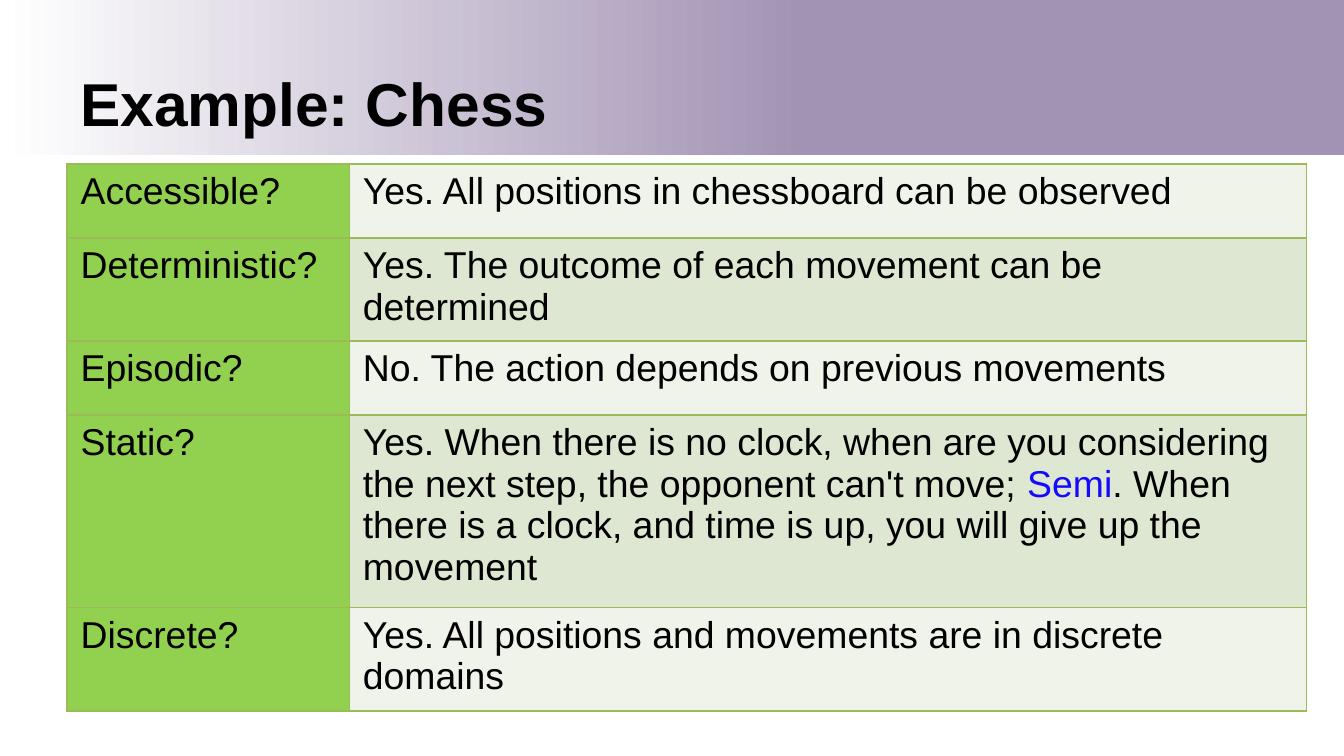
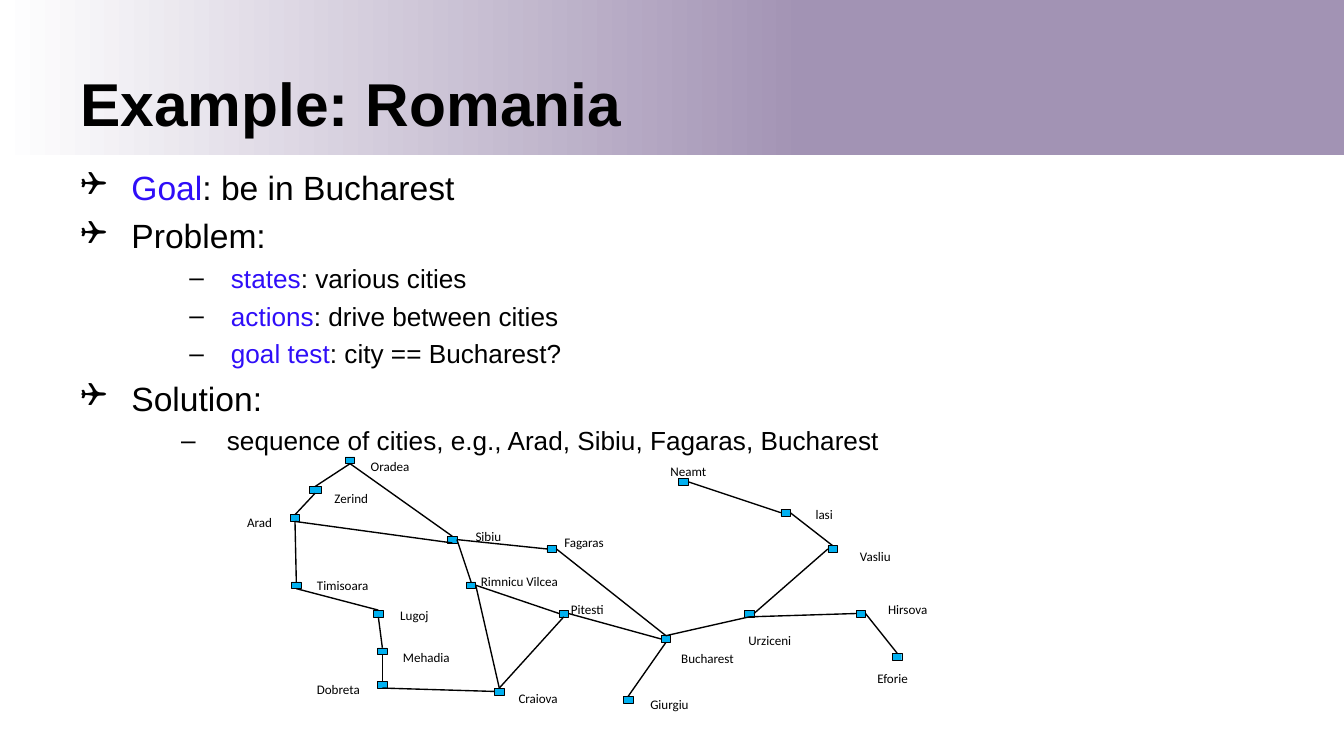
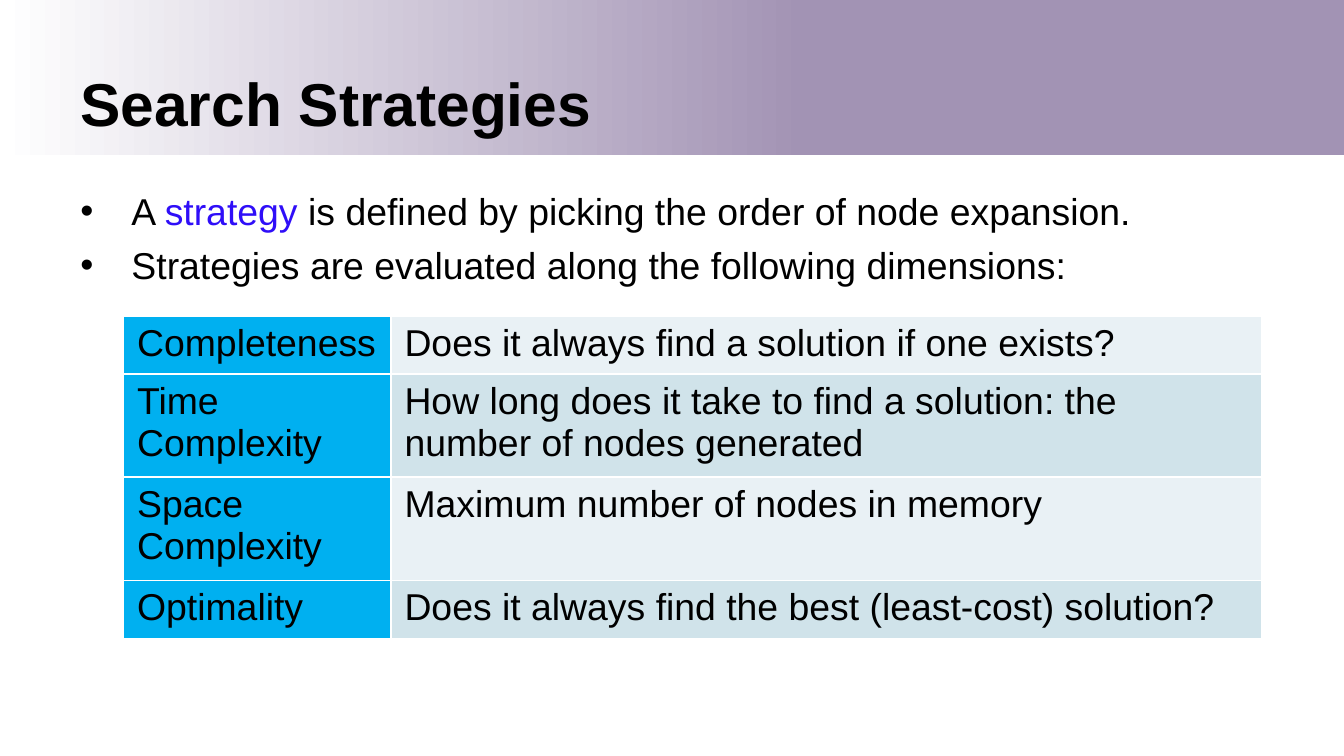
"""Build three lecture slides on agents and search."""
from typing import NamedTuple

from lxml import etree
from pptx import Presentation, util as u
from pptx.dml.color import RGBColor
from pptx.enum import shapes, text
from pptx.oxml.ns import qn

BLACK, WHITE = "000000", "FFFFFF"
MAUVE, INDIGO, BLUE = "A293B4", "2F0EF8", "160AFC"
GREEN, OLIVE, CYAN = "92D050", "9BBB59", "00B0F0"
TOP, LEFT, BOTTOM, RIGHT = range(4)


class Bullet(NamedTuple):
    """A list line; text between bars is accented."""
    text: str
    mark: str
    size: float
    margin: float = 0.38
    hang: float = 0.38


class City(NamedTuple):
    """A map marker with its label place."""
    name: str
    x: float
    y: float
    label_x: float
    label_y: float
    label_w: float
    width: float = 0.07


class Road(NamedTuple):
    """A straight link between sides of two cities."""
    start: str
    start_side: int
    end: str
    end_side: int


class Grid(NamedTuple):
    """A two-column table of terms and answers."""
    left: float
    top: float
    widths: tuple[float, float]
    height: float
    row_height: float
    head: str
    bands: tuple[str, str]
    border: str
    rows: list[tuple[str, str]]


CHESS = Grid(0.5, 1.22, (2.1, 7.12), 4.06, 0.55, GREEN, ("EFF3EA", "DEE7D1"), OLIVE, [
    ("Accessible?", "Yes. All positions in chessboard can be observed"),
    ("Deterministic?", "Yes. The outcome of each movement can be determined"),
    ("Episodic?", "No. The action depends on previous movements"),
    ("Static?", "Yes. When there is no clock, when are you considering the next step, "
                "the opponent can't move; |Semi|. When there is a clock, and time is up, "
                "you will give up the movement"),
    ("Discrete?", "Yes. All positions and movements are in discrete domains"),
])

DIMENSIONS = Grid(0.92, 2.35, (1.99, 6.48), 2.4, 0.41, CYAN, ("E9F1F5", "D0E3EA"), WHITE, [
    ("Completeness", "Does it always find a solution if one exists?"),
    ("Time Complexity", "How long does it take to find a solution: the number of nodes generated"),
    ("Space Complexity", "Maximum number of nodes in memory"),
    ("Optimality", "Does it always find the best (least-cost) solution?"),
])

ROMANIA = [
    Bullet("|Goal|: be in Bucharest", "❑", 18),
    Bullet("Problem:", "❑", 18),
    Bullet("|states|: various cities", "–", 14, 1.12, 0.31),
    Bullet("|actions|: drive between cities", "–", 14, 1.12, 0.31),
    Bullet("|goal test|: city == Bucharest?", "–", 14, 1.12, 0.31),
    Bullet("Solution:", "❑", 18),
    Bullet("sequence of cities, e.g., Arad, Sibiu, Fagaras, Bucharest", "–", 14, 1.09, 0.34),
]

STRATEGIES = [
    Bullet("A |strategy| is defined by picking the order of node expansion.", "•", 20),
    Bullet("Strategies are evaluated along the following dimensions:", "•", 20),
]

CITIES = [
    City("Oradea", 2.57, 3.4, 2.66, 3.36, 0.55),
    City("Zerind", 2.3, 3.62, 2.39, 3.6, 0.48, 0.09),
    City("Arad", 2.16, 3.83, 1.74, 3.78, 0.41),
    City("Timisoara", 2.17, 4.33, 2.26, 4.25, 0.71),
    City("Lugoj", 2.78, 4.54, 2.88, 4.47, 0.47),
    City("Mehadia", 2.81, 4.82, 2.9, 4.78, 0.61),
    City("Dobreta", 2.81, 5.07, 2.26, 5.02, 0.57),
    City("Sibiu", 3.33, 3.99, 3.44, 3.88, 0.67),
    City("Fagaras", 4.07, 4.06, 4.1, 3.93, 0.61),
    City("Rimnicu Vilcea", 3.47, 4.33, 3.48, 4.22, 0.96),
    City("Pitesti", 4.16, 4.54, 4.15, 4.43, 0.51),
    City("Craiova", 3.68, 5.12, 3.76, 5.09, 0.62),
    City("Giurgiu", 4.64, 5.18, 4.74, 5.13, 0.62),
    City("Bucharest", 4.92, 4.73, 4.97, 4.79, 0.69),
    City("Neamt", 5.05, 3.56, 4.89, 3.4, 0.58),
    City("lasi", 5.81, 3.79, 5.97, 3.72, 0.47),
    City("Vasliu", 6.16, 4.06, 6.3, 4.03, 0.48),
    City("Urziceni", 5.54, 4.54, 5.47, 4.66, 0.84),
    City("Hirsova", 6.37, 4.54, 6.51, 4.43, 0.69),
    City("Eforie", 6.64, 4.86, 6.43, 4.94, 1.03),
]

ROADS = [
    Road("Oradea", BOTTOM, "Zerind", TOP),
    Road("Zerind", BOTTOM, "Arad", TOP),
    Road("Arad", BOTTOM, "Timisoara", TOP),
    Road("Timisoara", BOTTOM, "Lugoj", TOP),
    Road("Lugoj", BOTTOM, "Mehadia", TOP),
    Road("Mehadia", BOTTOM, "Dobreta", TOP),
    Road("Arad", BOTTOM, "Sibiu", BOTTOM),
    Road("Oradea", BOTTOM, "Sibiu", TOP),
    Road("Dobreta", BOTTOM, "Craiova", LEFT),
    Road("Sibiu", RIGHT, "Rimnicu Vilcea", TOP),
    Road("Rimnicu Vilcea", RIGHT, "Craiova", TOP),
    Road("Sibiu", RIGHT, "Fagaras", LEFT),
    Road("Rimnicu Vilcea", RIGHT, "Pitesti", LEFT),
    Road("Pitesti", BOTTOM, "Craiova", TOP),
    Road("Pitesti", RIGHT, "Bucharest", LEFT),
    Road("Fagaras", RIGHT, "Bucharest", TOP),
    Road("Bucharest", BOTTOM, "Giurgiu", TOP),
    Road("Bucharest", TOP, "Urziceni", BOTTOM),
    Road("Urziceni", BOTTOM, "Hirsova", LEFT),
    Road("Hirsova", RIGHT, "Eforie", TOP),
    Road("Vasliu", LEFT, "Urziceni", RIGHT),
    Road("Neamt", RIGHT, "lasi", LEFT),
    Road("lasi", RIGHT, "Vasliu", TOP),
]


def rgb(color: str) -> RGBColor:
    """Turn a hex string into a colour."""
    return RGBColor.from_string(color)


def write(p, content: str, *, size: float, font: str = "Arial", color: str = BLACK,
          accent: str = INDIGO, bold: bool = False) -> None:
    """Fill a paragraph, accenting the text between bars."""
    for i, part in enumerate(content.split("|")):
        if part:
            r = p.add_run()
            r.text = part
            r.font.size, r.font.name, r.font.bold = u.Pt(size), font, bold
            r.font.color.rgb = rgb(accent if i % 2 else color)


def add_frame(s, left: float, top: float, width: float, height: float):
    """Add a wrapping text box and return its text frame."""
    sp = s.shapes.add_textbox(*map(u.Inches, (left, top, width, height)))
    sp.text_frame.word_wrap = True
    return sp.text_frame


def add_rect(s, left: float, top: float, width: float, height: float):
    """Add a rectangle without shadow."""
    sp = s.shapes.add_shape(shapes.MSO_SHAPE.RECTANGLE,
                            *map(u.Inches, (left, top, width, height)))
    sp.shadow.inherit = False
    return sp


def add_slide(prs, title: str):
    """Add a slide with the gradient band and a title."""
    s = prs.slides.add_slide(prs.slide_layouts[6])
    band = add_rect(s, 0, 0, 10, 1.15)
    band.line.fill.background()
    band.fill.gradient()
    band.fill.gradient_angle = 0
    for stop, position, color in zip(band.fill.gradient_stops, (0, 0.6), (WHITE, MAUVE)):
        stop.position, stop.color.rgb = position, rgb(color)
    tf = add_frame(s, 0.5, 0.46, 9, 0.6)
    tf.vertical_anchor = text.MSO_ANCHOR.MIDDLE
    write(tf.paragraphs[0], title, size=32.4, bold=True)
    return s


def add_bullets(s, top: float, width: float, height: float, bullets: list[Bullet]) -> None:
    """Add a bulleted list."""
    tf = add_frame(s, 0.5, top, width, height)
    for i, b in enumerate(bullets):
        p = tf.add_paragraph() if i else tf.paragraphs[0]
        pPr = p._p.get_or_add_pPr()
        pPr.set("marL", str(u.Inches(b.margin)))
        pPr.set("indent", str(-u.Inches(b.hang)))
        buClr = etree.SubElement(pPr, qn("a:buClr"))
        etree.SubElement(buClr, qn("a:srgbClr"), val=BLACK)
        font = "Wingdings" if b.mark == "❑" else "Arial"
        etree.SubElement(pPr, qn("a:buFont"), typeface=font)
        etree.SubElement(pPr, qn("a:buChar"), char=b.mark)
        if i:
            p.space_before = u.Pt(b.size / 4)
        write(p, b.text, size=b.size)


def set_borders(cell, color: str) -> None:
    """Draw a one-point border on each side of a cell."""
    tcPr = cell._tc.get_or_add_tcPr()
    for i, side in enumerate(("lnL", "lnR", "lnT", "lnB")):
        ln = etree.Element(qn(f"a:{side}"), w=str(u.Pt(1)))
        fill = etree.SubElement(ln, qn("a:solidFill"))
        etree.SubElement(fill, qn("a:srgbClr"), val=color)
        tcPr.insert(i, ln)


def add_grid(s, g: Grid) -> None:
    """Add a table with a coloured first column and banded answers."""
    box = (g.left, g.top, sum(g.widths), g.height)
    frame = s.shapes.add_table(len(g.rows), 2, *map(u.Inches, box))
    table = frame.table
    table.first_row = table.horz_banding = False
    for column, width in zip(table.columns, g.widths):
        column.width = u.Inches(width)
    for i, row in enumerate(g.rows):
        table.rows[i].height = u.Inches(g.row_height)
        for j, (content, color) in enumerate(zip(row, (g.head, g.bands[i % 2]))):
            cell = table.cell(i, j)
            cell.fill.solid()
            cell.fill.fore_color.rgb = rgb(color)
            set_borders(cell, g.border)
            write(cell.text_frame.paragraphs[0], content, size=20, accent=BLUE)
    frame.height = u.Inches(g.height)


def add_marker(s, city: City):
    """Add the small square of a city."""
    sp = add_rect(s, city.x, city.y, city.width, 0.05)
    sp.fill.solid()
    sp.fill.fore_color.rgb = rgb(CYAN)
    sp.line.color.rgb, sp.line.width = rgb(BLACK), u.Pt(0.25)
    return sp


def add_road(s, road: Road, markers: dict) -> None:
    """Connect two city markers."""
    line = s.shapes.add_connector(shapes.MSO_CONNECTOR.STRAIGHT, 0, 0, 0, 0)
    line.begin_connect(markers[road.start], road.start_side)
    line.end_connect(markers[road.end], road.end_side)
    line.line.color.rgb, line.line.width = rgb(BLACK), u.Pt(0.75)
    etree.SubElement(line._element.spPr, qn("a:effectLst"))


def add_map(s) -> None:
    """Draw cities, roads and labels."""
    markers = {city.name: add_marker(s, city) for city in CITIES}
    for road in ROADS:
        add_road(s, road, markers)
    for city in CITIES:
        tf = add_frame(s, city.label_x, city.label_y, city.label_w, 0.2)
        write(tf.paragraphs[0], city.name, size=7, font="Calibri")


def main() -> None:
    """Build and save the slides."""
    prs = Presentation()
    prs.slide_width, prs.slide_height = u.Inches(10), u.Inches(10 * 9 / 16)
    add_grid(add_slide(prs, "Example: Chess"), CHESS)
    s = add_slide(prs, "Example: Romania")
    add_bullets(s, 1.19, 9, 3.54, ROMANIA)
    add_map(s)
    s = add_slide(prs, "Search Strategies")
    add_bullets(s, 1.35, 9.05, 0.66, STRATEGIES)
    add_grid(s, DIMENSIONS)
    prs.save("out.pptx")


if __name__ == "__main__":
    main()
